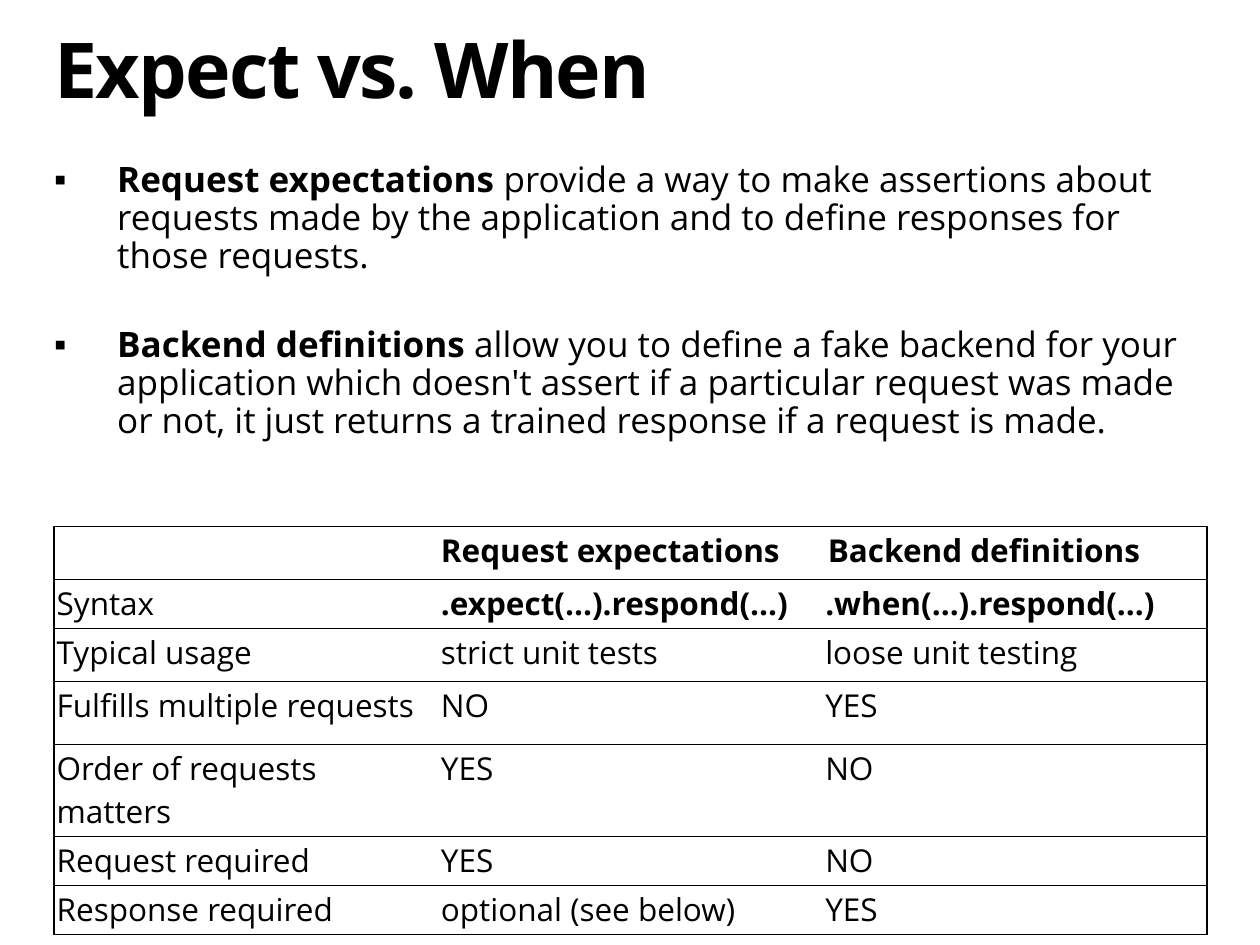
from pptx import Presentation
from pptx.dml.color import RGBColor
from pptx.enum.text import MSO_ANCHOR, MSO_AUTO_SIZE, PP_ALIGN
from pptx.oxml import parse_xml
from pptx.oxml.ns import nsdecls
from pptx.util import Inches, Pt

TOP, LEFT = MSO_ANCHOR.TOP, PP_ALIGN.LEFT
GROW = MSO_AUTO_SIZE.SHAPE_TO_FIT_TEXT
COLORS = {"ink": "000000", "paper": "FFFFFF"}
FONT = "Open Sans"
EDGE, WIDTH = 0.43, 9.15
PLAIN = "{2D5ABB26-0587-4C30-8999-92F81FD0307C}"
FRAME = {"margin_left": 0, "margin_right": 0, "margin_top": 0, "margin_bottom": 0,
         "word_wrap": True, "auto_size": GROW, "vertical_anchor": TOP}
PARA = {"alignment": LEFT, "line_spacing": 0.9}
POINTS = [
    ("Request expectations ", "provide a way to make assertions about requests made "
     "by the application and to define responses for those requests.", 4),
    ("Backend definitions ", "allow you to define a fake backend for your application "
     "which doesn't assert if a particular request was made or not, it just returns "
     "a trained response if a request is made.", 29.5),
]
ROWS = [
    (0.42, "", "Request expectations", "Backend definitions"),
    (0.39, "Syntax", ".expect(...).respond(...)", ".when(...).respond(...)"),
    (0.42, "Typical usage", "strict unit tests", "loose unit testing"),
    (0.5, "Fulfills multiple requests", "NO", "YES"),
    (0.73, "Order of requests matters", "YES", "NO"),
    (0.39, "Request required", "YES", "NO"),
    (0.39, "Response required", "optional (see below)", "YES"),
]


def apply(item, values):
    """Set each named format value on an object."""
    for name, value in values.items():
        setattr(item, name, value)


def add_run(para, text, size, bold=False):
    """Add a run of text in the slide font."""
    run = para.add_run()
    run.text = text
    apply(run.font, {"name": FONT, "size": Pt(size), "bold": bold})
    run.font.color.rgb = RGBColor.from_string(COLORS["ink"])
    return run


def place(shape, top, height):
    """Move a placeholder and return its formatted text frame."""
    apply(shape, {"left": Inches(EDGE), "top": Inches(top),
                  "width": Inches(WIDTH), "height": Inches(height)})
    apply(shape.text_frame, FRAME)
    return shape.text_frame


def fill_title(shape):
    """Write the title."""
    para = place(shape, 0.25, 0.67).paragraphs[0]
    apply(para, PARA)
    run = add_run(para, "Expect vs. When", 44, True)
    run.font._element.set("spc", "-100")


def fill_body(shape):
    """Write the bulleted definitions."""
    frame = place(shape, 1.29, 2.26)
    for index, (term, text, gap) in enumerate(POINTS):
        para = frame.add_paragraph() if index else frame.paragraphs[0]
        apply(para, {**PARA, "space_before": Pt(gap)})
        props = para._p.get_or_add_pPr()
        props.set("marL", str(Inches(0.5)))
        props.set("indent", str(-Inches(0.5)))
        props.append(parse_xml(f'<a:buChar {nsdecls("a")} char="▪"/>'))
        add_run(para, term, 20, True)
        add_run(para, text, 20)


def add_lines(cell, sides):
    """Draw black cell borders on the given sides."""
    props = cell._tc.get_or_add_tcPr()
    for side in sides:
        props.append(parse_xml(
            f'<a:ln{side} {nsdecls("a")} w="12700"><a:solidFill>'
            f'<a:srgbClr val="{COLORS["ink"]}"/></a:solidFill></a:ln{side}>'))


def add_grid(slide):
    """Add the comparison table."""
    high = sum(row[0] for row in ROWS)
    table = slide.shapes.add_table(len(ROWS), 3, Inches(EDGE), Inches(4.18),
                                   Inches(WIDTH), Inches(high)).table
    apply(table, {"first_row": False, "horz_banding": False})
    table._tbl.tblPr[0].text = PLAIN
    for r, (tall, *texts) in enumerate(ROWS):
        table.rows[r].height = Inches(tall)
        for c, text in enumerate(texts):
            cell = table.cell(r, c)
            side = 0.04 if (r, c) == (0, 2) else 0.02
            apply(cell, {"margin_left": Inches(side), "margin_right": Inches(side),
                         "margin_top": Inches(0.02), "margin_bottom": Inches(0.02),
                         "vertical_anchor": TOP})
            add_lines(cell, ("LTB", "TB", "RTB")[c])
            cell.fill.solid()
            cell.fill.fore_color.rgb = RGBColor.from_string(COLORS["paper"])
            if text:
                add_run(cell.text_frame.paragraphs[0], text, 18, r < 2 and c > 0)


def main():
    """Build and save the slide."""
    deck = Presentation()
    deck.slide_width, deck.slide_height = Inches(10), Inches(7.5)
    slide = deck.slides.add_slide(deck.slide_layouts[1])
    fill_title(slide.shapes.title)
    fill_body(slide.placeholders[1])
    add_grid(slide)
    deck.save("out.pptx")


main()
